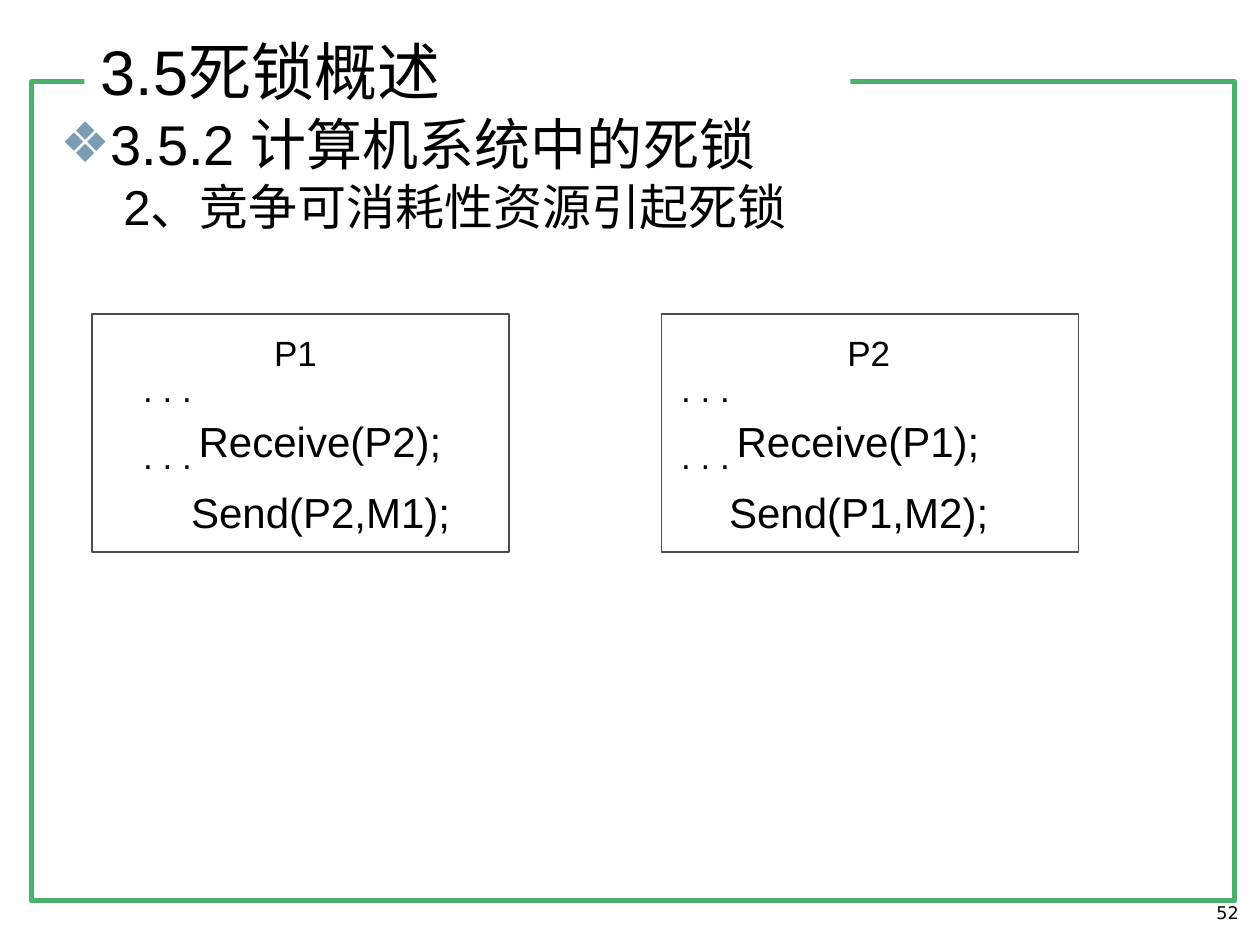
from dataclasses import dataclass

from lxml.etree import SubElement
from pptx import Presentation
from pptx.dml.color import RGBColor
from pptx.enum.shapes import MSO_SHAPE
from pptx.enum.text import MSO_ANCHOR, PP_ALIGN
from pptx.oxml.ns import qn
from pptx.util import Inches, Pt

BLACK = RGBColor(0x00, 0x00, 0x00)
WHITE = RGBColor(0xFF, 0xFF, 0xFF)
GREEN = RGBColor(0x4C, 0xB0, 0x6D)
GRAY = RGBColor(0x4D, 0x4D, 0x4D)
LATIN, CJK, NUMBER = "Arial", "Noto Sans CJK SC", "DejaVu Sans"


@dataclass
class Process:
    name: str
    peer: str
    message: str
    box_left: float
    name_left: float
    code_left: float


PROCESSES = [
    Process("P1", "P2", "M1", 0.73, 2.12, 1.08),
    Process("P2", "P1", "M2", 5.25, 6.67, 5.35),
]


def add_run(p, text: str, size: float, font: str = LATIN) -> None:
    r = p.add_run()
    r.text = text
    r.font.size = Pt(size)
    r.font.name = font
    r.font.color.rgb = BLACK
    if font == CJK:
        SubElement(r.font._element, qn("a:ea"), typeface=font)


def set_frame(tf, wrap: bool) -> None:
    tf.word_wrap = wrap
    tf.vertical_anchor = MSO_ANCHOR.TOP
    tf.margin_left = tf.margin_right = Inches(0.05)
    tf.margin_top = tf.margin_bottom = Inches(0.05)


def place(sp, left: float, top: float, width: float, height: float) -> None:
    sp.left, sp.top = Inches(left), Inches(top)
    sp.width, sp.height = Inches(width), Inches(height)


def add_rect(shapes, left: float, top: float, width: float, height: float,
             fill: RGBColor | None = None, line: RGBColor | None = None,
             weight: float = 1):
    sp = shapes.add_shape(MSO_SHAPE.RECTANGLE, Inches(left), Inches(top),
                          Inches(width), Inches(height))
    sp.shadow.inherit = False
    if fill is None:
        sp.fill.background()
    else:
        sp.fill.solid()
        sp.fill.fore_color.rgb = fill
    if line is None:
        sp.line.fill.background()
    else:
        sp.line.color.rgb = line
        sp.line.width = Pt(weight)
    return sp


def add_label(shapes, text: str, left: float, top: float, width: float,
              height: float, size: float, font: str = LATIN,
              align: PP_ALIGN = PP_ALIGN.CENTER) -> None:
    sp = shapes.add_textbox(Inches(left), Inches(top), Inches(width), Inches(height))
    set_frame(sp.text_frame, wrap=False)
    p = sp.text_frame.paragraphs[0]
    p.alignment = align
    add_run(p, text, size, font)


def set_indent(p, margin: float, indent: float, bullet: str = "") -> None:
    pPr = p._p.get_or_add_pPr()
    pPr.set("marL", str(Inches(margin)))
    pPr.set("indent", str(Inches(indent)))
    if bullet:
        color = SubElement(pPr, qn("a:buClr"))
        SubElement(color, qn("a:srgbClr"), val="7B9CB5")
        SubElement(pPr, qn("a:buChar"), char=bullet)
    else:
        SubElement(pPr, qn("a:buNone"))


def add_process(s, proc: Process) -> None:
    shapes = s.shapes.add_group_shape().shapes
    add_rect(shapes, proc.box_left, 2.49, 3.31, 1.89, WHITE, GRAY)
    add_label(shapes, proc.name, proc.name_left, 2.58, 0.45, 0.41, 20)
    for top in (2.87, 3.4):
        add_label(shapes, ". . .", proc.code_left, top, 0.5, 0.41, 20)
    add_label(shapes, f"Receive({proc.peer});", proc.code_left + 0.44, 3.25, 2.04, 0.48, 24)
    add_label(shapes, f"Send({proc.peer},{proc.message});",
              proc.code_left + 0.38, 3.81, 2.17, 0.48, 24)


def main() -> None:
    prs = Presentation()
    prs.slide_width, prs.slide_height = Inches(10), Inches(7.5)
    s = prs.slides.add_slide(prs.slide_layouts[1])
    title, body = s.placeholders

    # Green frame, broken behind the title
    frame = add_rect(s.shapes, 0.25, 0.65, 9.55, 6.5, line=GREEN, weight=3)
    gap = add_rect(s.shapes, 0.67, 0.21, 6.08, 1.19, fill=WHITE)
    for index, sp in enumerate((frame, gap), start=2):
        s.shapes._spTree.insert(index, sp._element)

    # Title
    place(title, 0.75, 0.21, 7.09, 0.79)
    set_frame(title.text_frame, wrap=True)
    p = title.text_frame.paragraphs[0]
    p.alignment = PP_ALIGN.LEFT
    add_run(p, "3.5", 36)
    add_run(p, "死锁概述", 36, CJK)

    # Headings
    place(body, 0.43, 0.82, 8.99, 5.74)
    tf = body.text_frame
    set_frame(tf, wrap=True)
    p = tf.paragraphs[0]
    p.space_before = Pt(7)
    set_indent(p, 0.38, -0.38, "❖")
    add_run(p, "3.5.2 ", 32)
    add_run(p, "计算机系统中的死锁", 32, CJK)
    p = tf.add_paragraph()
    p.level = 1
    p.space_before = Pt(0)
    set_indent(p, 0, 0.5)
    add_run(p, "2", 28)
    add_run(p, "、竞争可消耗性资源引起死锁", 28, CJK)

    # The two processes
    for proc in PROCESSES:
        add_process(s, proc)

    # Page number
    add_label(s.shapes, "52", 9.59, 7.11, 0.29, 0.27, 10, NUMBER, PP_ALIGN.RIGHT)

    prs.save("out.pptx")


if __name__ == "__main__":
    main()
